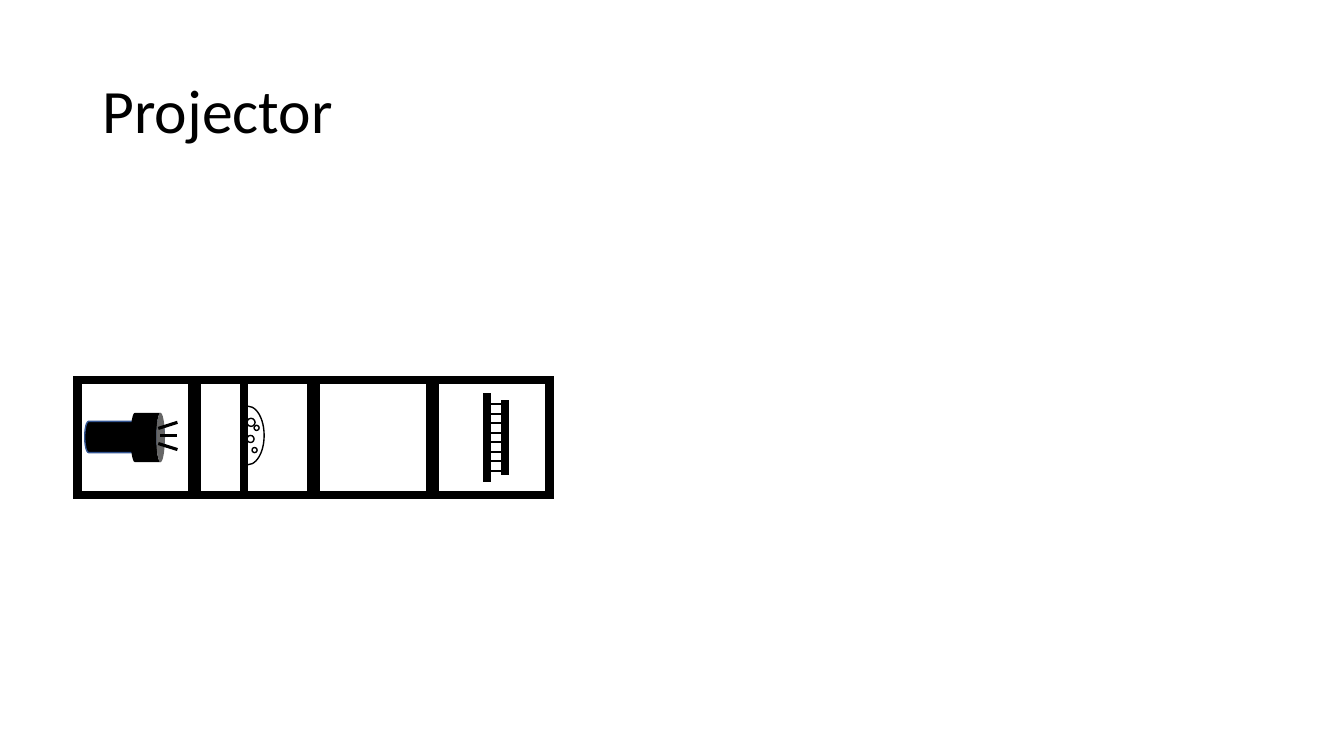
"""Build the projector slide with its four compartments."""
import pptx
import pptx.dml.color
import pptx.enum.shapes
import pptx.enum.text
import pptx.oxml
import pptx.oxml.ns
import pptx.util
from pptx.util import Inches

COLORS = {"ink": "000000", "casing": "325491"}
TITLE_FONT = {"name": "Calibri", "size": pptx.util.Pt(44), "bold": False}
TITLE_FRAME = {"word_wrap": True, "vertical_anchor": pptx.enum.text.MSO_ANCHOR.MIDDLE}
SHAPE = pptx.enum.shapes.MSO_SHAPE
BOX_LEFT, BOX_TOP, BOX_SIZE, BOX_PITCH = 0.77, 3.77, 1.14, 1.18
FRAME_WIDTH = 6
RUNG_COUNT, FIRST_RUNG, LAST_RUNG = 8, 4.01, 4.67


def rgb(name):
    """Return the named colour."""
    return pptx.dml.color.RGBColor.from_string(COLORS[name])


def set_values(target, values):
    """Set every attribute in a dict of format values."""
    for name, value in values.items():
        setattr(target, name, value)


def style_line(line, width, color="ink"):
    """Give a line its colour, width and sharp corners."""
    line.color.rgb = rgb(color)
    line.width = pptx.util.Pt(width)
    miter = pptx.oxml.parse_xml(f'<a:miter {pptx.oxml.ns.nsdecls("a")} lim="800000"/>')
    line.color._xFill.getparent().append(miter)


def add_title(slide, text):
    """Add the slide title."""
    box = slide.shapes.add_textbox(Inches(0.92), Inches(0.4), Inches(11.5), Inches(1.45))
    set_values(box.text_frame, TITLE_FRAME)
    paragraph = box.text_frame.paragraphs[0]
    paragraph.line_spacing = 0.9
    run = paragraph.add_run()
    run.text = text
    set_values(run.font, TITLE_FONT)
    run.font.color.rgb = rgb("ink")


def add_figure(shapes, kind, frame, line_width=None, line_color="ink", fill=None, rotation=0):
    """Add a preset shape with an optional fill and outline."""
    shape = shapes.add_shape(kind, *map(Inches, frame))
    shape.shadow.inherit = False
    shape.rotation = rotation
    if fill:
        shape.fill.solid()
        shape.fill.fore_color.rgb = rgb(fill)
    else:
        shape.fill.background()
    if line_width:
        style_line(shape.line, line_width, line_color)
    else:
        shape.line.fill.background()
    return shape


def add_stroke(shapes, start, end, width):
    """Add a straight line without a shadow."""
    connector = shapes.add_connector(
        pptx.enum.shapes.MSO_CONNECTOR.STRAIGHT, *map(Inches, (*start, *end)))
    style_line(connector.line, width)
    effects = pptx.oxml.parse_xml(f'<a:effectLst {pptx.oxml.ns.nsdecls("a")}/>')
    connector._element.spPr.append(effects)


def add_compartment(shapes, index):
    """Add the square frame of one compartment."""
    frame = (BOX_LEFT + index * BOX_PITCH, BOX_TOP, BOX_SIZE, BOX_SIZE)
    add_figure(shapes, SHAPE.RECTANGLE, frame, FRAME_WIDTH)


def add_flashlight(shapes):
    """Add the flashlight and its rays."""
    add_figure(shapes, SHAPE.CAN, (1.08, 3.94, 0.31, 0.79), 1, "casing", "ink", 90)
    add_figure(shapes, SHAPE.CAN, (1.22, 4.17, 0.49, 0.34), fill="ink", rotation=90)
    for left, start, end in ((1.59, 4.32, 4.32), (1.57, 4.4, 4.46), (1.57, 4.25, 4.19)):
        add_stroke(shapes, (left, start), (1.76, end), 2.25)


def add_lens(shapes):
    """Add the upright plate, its curved lens and the bubbles."""
    add_stroke(shapes, (2.42, 4.89), (2.42, 3.78), FRAME_WIDTH)
    lens = add_figure(shapes, SHAPE.ARC, (2.3, 4.03, 0.32, 0.58), 1)
    lens.adjustments[0], lens.adjustments[1] = 162, 58.808
    for left, top, size in ((2.45, 4.15, 0.08), (2.52, 4.22, 0.05),
                            (2.45, 4.32, 0.07), (2.5, 4.44, 0.05)):
        add_figure(shapes, SHAPE.OVAL, (left, top, size, size), 1)


def add_ladder(shapes):
    """Add two rails joined by evenly spaced rungs."""
    add_stroke(shapes, (4.83, 4.78), (4.83, 3.9), FRAME_WIDTH)
    step = (LAST_RUNG - FIRST_RUNG) / (RUNG_COUNT - 1)
    for index in range(RUNG_COUNT):
        height = FIRST_RUNG + index * step
        add_stroke(shapes, (4.85, height), (5.01, height), 1.5)
    add_stroke(shapes, (5.01, 4.71), (5.01, 3.97), FRAME_WIDTH)


def main():
    """Build and save the presentation."""
    presentation = pptx.Presentation()
    presentation.slide_width, presentation.slide_height = Inches(13.33), Inches(7.5)
    slide = presentation.slides.add_slide(presentation.slide_layouts[6])
    add_title(slide, "Projector")
    flashlight = slide.shapes.add_group_shape().shapes
    add_flashlight(flashlight)
    add_compartment(flashlight, 0)
    add_compartment(slide.shapes, 2)
    for index, add_content in ((1, add_lens), (3, add_ladder)):
        group = slide.shapes.add_group_shape().shapes
        add_compartment(group, index)
        add_content(group)
    presentation.save("out.pptx")


if __name__ == "__main__":
    main()
